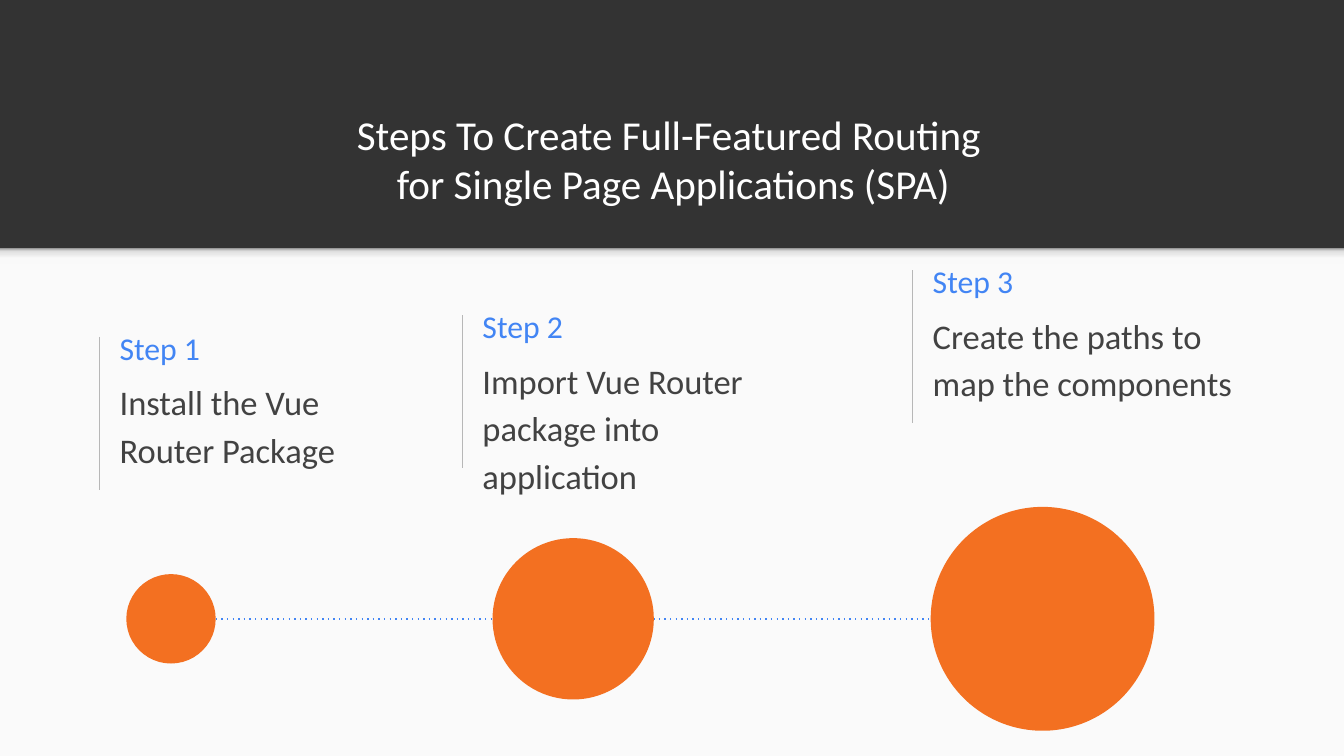
from copy import deepcopy
from dataclasses import dataclass

from pptx import Presentation
from pptx.dml.color import RGBColor
from pptx.enum.dml import MSO_LINE_DASH_STYLE as Dash
from pptx.enum.shapes import MSO_CONNECTOR as Connector, MSO_SHAPE as Shape
from pptx.enum.text import MSO_ANCHOR as Anchor, PP_ALIGN as Align
from pptx.oxml.ns import qn
from pptx.util import Inches, Pt
from lxml import etree


@dataclass(frozen=True)
class Theme:
    font: str = "Calibri"
    dark: str = "333333"
    panel: str = "FAFAFA"
    white: str = "FFFFFF"
    blue: str = "4285F4"
    body: str = "424242"
    rule: str = "B7B7B7"
    orange: str = "F37021"
    shade: tuple = ((0, "F9F9F9"), (0.36, "F9F9F9"), (0.8, "DEDEDE"), (1, "999999"))
    title_size: int = 44
    label_size: int = 34
    body_size: int = 37


THEME = Theme()

# Grid of square cells, 0.2 inches a side
COLS, ROWS = 100, 56.22
PANEL_TOP = 18.45
AXIS = 46.02  # row of the circle centres
RULE_HEIGHT = 11.37

TITLE = "Steps To Create Full-Featured Routing \vfor Single Page Applications (SPA)"
# label, text, rule column, rule top row, text width, text height
STEPS = [
    ("Step 1", "Install the Vue Router Package", 7.4, 25.05, 22.9, 8.35),
    ("Step 2", "Import Vue Router package into application", 34.4, 23.43, 26.7, 6.35),
    ("Step 3", "Create the paths to map the components", 67.9, 20.08, 26.7, 6.35),
]
CIRCLES = [(9.4, 6.65), (36.65, 12), (69.25, 16.65)]  # left column, diameter


def cells(n):
    return Inches(n * 0.2)


def rgb(code):
    return RGBColor.from_string(code)


def add_block(s, kind, x, y, w, h, color=None):
    sp = s.shapes.add_shape(kind, *map(cells, (x, y, w, h)))
    sp.shadow.inherit = False
    sp.line.fill.background()
    if color:
        sp.fill.solid()
        sp.fill.fore_color.rgb = rgb(color)
    return sp


def add_shade(s, x, y, w, h):
    fill = add_block(s, Shape.RECTANGLE, x, y, w, h).fill
    fill.gradient()
    fill.gradient_angle = 90
    # Two more stops beside the two that a new gradient has
    first = fill._fill._gradFill.find(qn("a:gsLst"))[0]
    for _ in THEME.shade[2:]:
        first.addnext(deepcopy(first))
    for stop, (position, color) in zip(fill.gradient_stops, THEME.shade):
        stop.position = position
        stop.color.rgb = rgb(color)


def add_line(s, x1, y1, x2, y2, color, width, dotted=False):
    line = s.shapes.add_connector(Connector.STRAIGHT, *map(cells, (x1, y1, x2, y2)))
    line.line.color.rgb = rgb(color)
    line.line.width = Pt(width)
    spPr = line._element.spPr
    if dotted:
        # The widely spaced dot has no member in the enumeration
        line.line.dash_style = Dash.ROUND_DOT
        spPr.find(".//" + qn("a:prstDash")).set("val", "dot")
    etree.SubElement(spPr, qn("a:effectLst"))


def add_text(s, text, x, y, w, h, size, color, anchor=Anchor.TOP, align=Align.LEFT):
    tf = s.shapes.add_textbox(*map(cells, (x, y, w, h))).text_frame
    tf.word_wrap = True
    tf.vertical_anchor = anchor
    tf.margin_left = tf.margin_right = tf.margin_top = tf.margin_bottom = cells(1)
    p = tf.paragraphs[0]
    p.text = text
    p.alignment = align
    for r in p.runs:
        r.font.name = THEME.font
        r.font.size = Pt(size)
        r.font.color.rgb = rgb(color)
    return p


def add_step(s, label, text, x, top, w, h):
    add_line(s, x, top, x, top + RULE_HEIGHT, THEME.rule, 0.75)
    left = x + 0.5
    add_text(s, label, left, top - 1.32, 19.85, 4.3,
             THEME.label_size, THEME.blue, Anchor.MIDDLE)
    p = add_text(s, text, left, top + 1.85, w, h, THEME.body_size, THEME.body)
    p.line_spacing = 1.15
    p.space_after = Pt(32)


def add_timeline(s):
    first_left, first_size = CIRCLES[0]
    add_line(s, first_left + first_size, AXIS, CIRCLES[-1][0], AXIS,
             THEME.blue, 1.5, dotted=True)
    for left, size in CIRCLES:
        add_block(s, Shape.OVAL, left, AXIS - size / 2, size, size, THEME.orange)


def main():
    prs = Presentation()
    prs.slide_width, prs.slide_height = cells(COLS), cells(ROWS)
    s = prs.slides.add_slide(prs.slide_layouts[6])

    # Dark background with a light panel and its soft upper edge
    s.background.fill.solid()
    s.background.fill.fore_color.rgb = rgb(THEME.dark)
    add_block(s, Shape.RECTANGLE, 0, PANEL_TOP, COLS, ROWS - PANEL_TOP, THEME.panel)
    add_shade(s, 0, PANEL_TOP, COLS, 1.2)

    # Heading
    add_text(s, TITLE, 5.15, 8.08, 89.95, 8.4,
             THEME.title_size, THEME.white, Anchor.BOTTOM, Align.CENTER)

    # Steps above the growing circles
    for step in STEPS:
        add_step(s, *step)
    add_timeline(s)

    prs.save("out.pptx")


if __name__ == "__main__":
    main()
